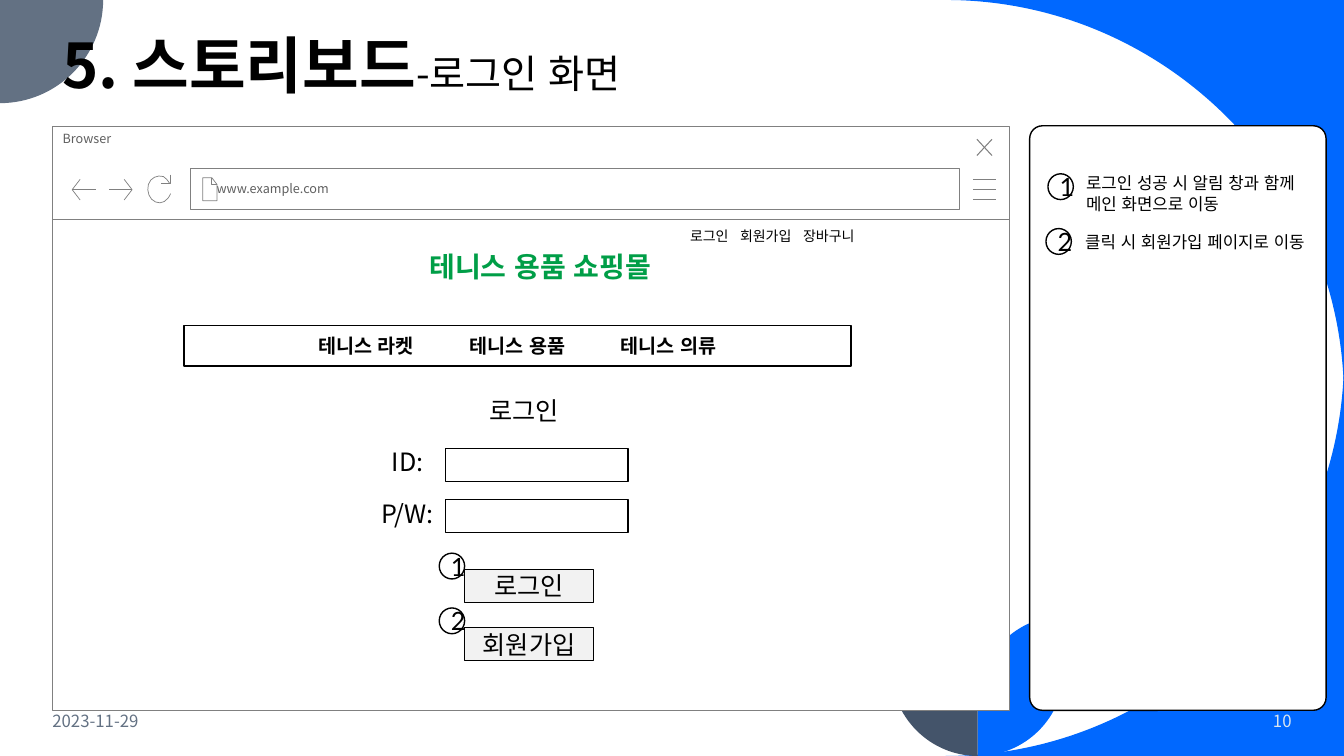
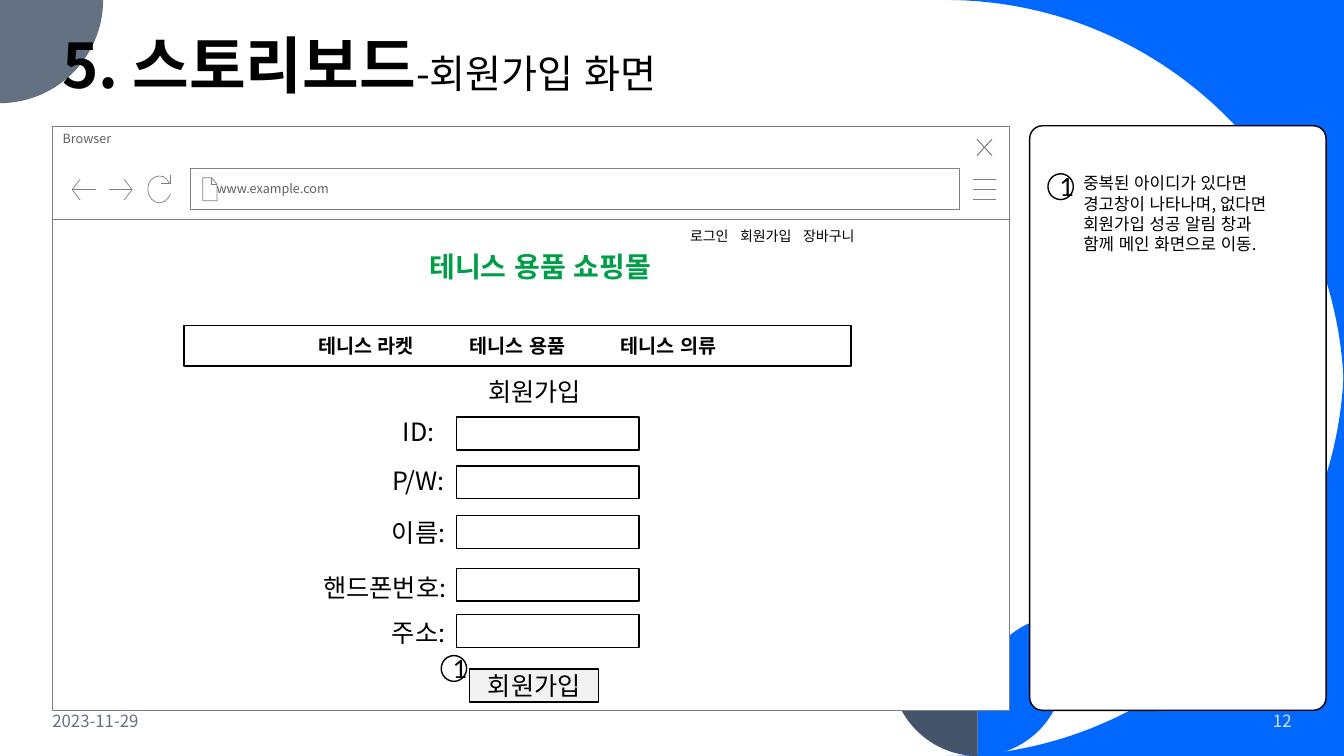
from lxml import etree
from pptx import Presentation
from pptx.dml.color import RGBColor
from pptx.enum.lang import MSO_LANGUAGE_ID
from pptx.enum.shapes import MSO_SHAPE
from pptx.enum.text import MSO_ANCHOR, PP_ALIGN
from pptx.oxml.ns import qn
from pptx.util import Cm, Pt

RECT = MSO_SHAPE.RECTANGLE
ROUND = MSO_SHAPE.ROUNDED_RECTANGLE
OVAL = MSO_SHAPE.OVAL
LEFT, CENTER, RIGHT = PP_ALIGN.LEFT, PP_ALIGN.CENTER, PP_ALIGN.RIGHT
TOP, MIDDLE = MSO_ANCHOR.TOP, MSO_ANCHOR.MIDDLE
KOREAN = MSO_LANGUAGE_ID.KOREAN

W, H = 33.87, 19.05
FONT, BADGE_FONT = "Noto Sans CJK KR", "Lato"
COLORS = {
    "white": "FFFFFF",
    "black": "000000",
    "blue": "0068FF",
    "slate": "637183",
    "navy": "44546A",
    "pale": "DAE5EF",
    "outline": "808080",
    "chrome": "5F5F5F",
    "green": "009E47",
    "button": "F2F2F2",
}
BROWSER = (1.33, 3.18, 24.1, 14.73)
PANEL = (25.95, 3.17, 7.47, 14.73)
FIELD_W, FIELD_H = 4.6, 0.83

SLIDES = [
    {
        "page": "10",
        "title": "-로그인 화면",
        "heading": ("로그인", 9.58, 6.65),
        "field_x": 9.9,
        "rows": [("ID:", 0, 7.95, 8.12), ("P/W:", 0, 9.26, 9.41)],
        "buttons": [("로그인", 10.38, 11.17), ("회원가입", 10.38, 12.64)],
        "badges": [("1", 9.74, 10.76), ("2", 9.74, 12.14)],
        "notes": [
            ("1", 0.46, 1.21, "로그인 성공 시 알림 창과 함께 메인 화면으로 이동", 1.17, 1.07, 6.15),
            ("2", 0.41, 2.59, "클릭 시 회원가입 페이지로 이동", 1.15, 2.54, 6.2),
        ],
    },
    {
        "page": "12",
        "title": "-회원가입 화면",
        "heading": ("회원가입", 9.84, 6.18),
        "field_x": 10.18,
        "rows": [
            ("ID:", 0, 7.19, 7.33),
            ("P/W:", 0, 8.41, 8.56),
            ("이름:", 0, 9.74, 9.81),
            ("핸드폰번호:", -0.85, 11.12, 11.14),
            ("주소:", 0, 12.24, 12.31),
        ],
        "buttons": [("회원가입", 10.51, 13.68)],
        "badges": [("1", 9.79, 13.34)],
        "notes": [
            ("1", 0.46, 1.21,
             "중복된 아이디가 있다면 경고창이 나타나며, 없다면 회원가입 성공 알림 창과 함께 메인 화면으로 이동.",
             1.1, 1.07, 5.5),
        ],
    },
]


def rgb(name):
    return RGBColor.from_string(COLORS[name])


def paint(sp, fill=None, line=None, width=1):
    sp.shadow.inherit = False
    if fill:
        sp.fill.solid()
        sp.fill.fore_color.rgb = rgb(fill)
    else:
        sp.fill.background()
    if line:
        sp.line.color.rgb = rgb(line)
        sp.line.width = Pt(width)
    else:
        sp.line.fill.background()


def add_run(p, text, size, color="black", bold=False, font=FONT):
    r = p.add_run()
    r.text = text
    r.font.size = Pt(size)
    r.font.bold = bold
    r.font.language_id = KOREAN
    r.font.color.rgb = rgb(color)
    r.font.name = font
    ea = etree.SubElement(r._r.get_or_add_rPr(), qn("a:ea"))
    ea.set("typeface", font)


def write(sp, runs, align=LEFT, anchor=TOP, left=0.25, tabs=()):
    tf = sp.text_frame
    tf.word_wrap = True
    tf.vertical_anchor = anchor
    tf.margin_left = Cm(left)
    p = tf.paragraphs[0]
    p.alignment = align
    if tabs:
        stops = etree.SubElement(p._p.get_or_add_pPr(), qn("a:tabLst"))
        for pos in tabs:
            etree.SubElement(stops, qn("a:tab"), pos=str(Cm(pos)), algn="l")
    for run in runs:
        add_run(p, *run)
    return p


def add_text(s, x, y, w, h, runs, **style):
    return write(s.shapes.add_textbox(Cm(x), Cm(y), Cm(w), Cm(h)), runs, **style)


def add_box(s, x, y, w, h, fill="white", line="black", width=1, kind=RECT):
    sp = s.shapes.add_shape(kind, Cm(x), Cm(y), Cm(w), Cm(h))
    paint(sp, fill, line, width)
    return sp


def add_outline(s, contours, x=0, y=0, close=False, **style):
    steps = [[(n,) if isinstance(n[0], (int, float)) else n for n in c] for c in contours]
    builder = None
    for contour in steps:
        points = [(Cm(x + px), Cm(y + py)) for step in contour for px, py in step]
        if builder:
            builder.move_to(*points[0])
        else:
            builder = s.shapes.build_freeform(*points[0])
        builder.add_line_segments(points[1:], close=close)
    sp = builder.convert_to_shape()
    lines = iter(list(sp.element.iter(qn("a:lnTo"))))
    for step in (step for contour in steps for step in contour[1:]):
        segment = next(lines)
        if len(step) == 3:
            segment.tag = qn("a:cubicBezTo")
            for extra in (next(lines), next(lines)):
                segment.append(extra[0])
                extra.getparent().remove(extra)
    paint(sp, **style)


def quarter(start, corner, end):
    def toward(point):
        return tuple(a + 0.55 * (b - a) for a, b in zip(point, corner))

    return [start, (toward(start), toward(end), end)]


def add_badge(s, x, y, number):
    sp = add_box(s, x, y, 0.64, 0.65, kind=OVAL)
    write(sp, [(number, 18, "black", False, BADGE_FONT)], align=CENTER, anchor=MIDDLE)


def add_backdrop(s):
    big, small = 10.04, 2.6
    shapes = [
        (quarter((W - big, 0), (W, 0), (W, big)) + [(W, 0)], "blue"),
        (quarter((W, H - big), (W, H), (W - big, H)) + [(W, H)], "blue"),
        (quarter((small, 0), (small, small), (0, small)) + [(0, 0)], "slate"),
    ]
    stem, radius, top = 24.64, 2.18, 15.52
    for side, color in ((1, "blue"), (-1, "navy")):
        edge = stem + side * radius
        leaf = quarter((stem, top + radius), (stem, top), (edge, top))
        leaf += quarter((edge, H - radius), (edge, H), (stem, H))
        shapes.append((leaf, color))
    for contour, color in shapes:
        add_outline(s, [contour], close=True, fill=color)


def add_footer(s, x, y, page):
    add_text(s, x, y, 7.62, 1.02, [("2023-11-29", 12, "slate")], anchor=MIDDLE)
    add_text(s, x + 27.13, y, 4.6, 1.02, [(page, 12, "pale")], align=RIGHT, anchor=MIDDLE)


def add_title(s, x, y, title):
    runs = [("5. 스토리보드", 44, "black", True), (title, 28)]
    add_text(s, x, y, 26, 2.67, runs).line_spacing = 0.9


def add_browser(s, x, y, w, h):
    bar, mid = 2.34, 1.6
    add_box(s, x, y + bar, w, h - bar, line="outline", width=0.5)
    header = add_box(s, x, y, w, bar, line="outline", width=0.5)
    write(header, [("Browser", 9, "chrome")])
    address = add_box(s, x + 3.47, y + 1.06, 19.37, 1.04, line="outline", width=0.5)
    write(address, [("www.example.com", 9, "chrome")], anchor=MIDDLE, left=0.66)

    def arrow(tip, tail):
        neck = tip + (0.2 if tail > tip else -0.2)
        return [[(neck, mid - 0.26), (tip, mid), (neck, mid + 0.26)], [(tip, mid), (tail, mid)]]

    menu = [[(w - 0.91, mid + d), (w - 0.33, mid + d)] for d in (-0.25, 0, 0.25)]
    close = [[(23.29, 0.33), (23.67, 0.74)], [(23.67, 0.33), (23.29, 0.74)]]
    document = [
        [(3.99, 1.3), (3.99, 1.47), (4.14, 1.47)],
        [(3.78, 1.3), (3.78, 1.88), (4.14, 1.88), (4.14, 1.47), (4.01, 1.3), (3.78, 1.3)],
    ]
    reload = [
        [(2.97, 1.22), (2.97, 1.45), (2.74, 1.45)],
        [
            (2.97, 1.7),
            ((2.9, 1.88), (2.74, 1.98), (2.59, 1.91)),
            ((2.44, 1.85), (2.36, 1.65), (2.41, 1.47)),
            ((2.46, 1.3), (2.64, 1.22), (2.79, 1.27)),
            ((2.85, 1.3), (2.9, 1.37), (2.95, 1.45)),
        ],
    ]
    icons = [
        (menu, 0.5), (close, 0.75), (document, 0.5),
        (arrow(0.49, 1.09), 0.5), (arrow(2.0, 1.42), 0.5), (reload, 0.5),
    ]
    for contours, width in icons:
        add_outline(s, contours, x, y, line="outline", width=width)


def add_shop_header(s, x, y):
    add_text(s, x + 9.24, y + 2.97, 6.15, 1.12, [("테니스 용품 쇼핑몰", 20, "green", True)])
    add_text(s, x + 15.81, y + 2.42, 4.85, 0.69,
             [("로그인\t회원가입\t장바구니", 10)], tabs=(1.26, 2.85))
    nav = add_box(s, x + 3.31, y + 5.02, 16.81, 1.02)
    write(nav, [("테니스 라켓\t테니스 용품\t테니스 의류", 14, "black", True)],
          anchor=MIDDLE, left=3.38, tabs=(3.81, 7.62))


def add_form(s, x, y, data):
    text, hx, hy = data["heading"]
    add_text(s, x + hx, y + hy, 4.6, 1.02, [(text, 18)], align=CENTER)
    fx = x + data["field_x"]
    for label, shift, label_y, field_y in data["rows"]:
        add_text(s, fx - 3.26 + shift, y + label_y, 4.6, 1.02, [(label, 18)], align=CENTER)
        add_box(s, fx, y + field_y, FIELD_W, FIELD_H)
    for label, bx, by in data["buttons"]:
        button = add_box(s, x + bx, y + by, 3.25, FIELD_H, fill="button")
        write(button, [(label, 18)], align=CENTER, anchor=MIDDLE)
    for number, bx, by in data["badges"]:
        add_badge(s, x + bx, y + by, number)


def add_notes(s, x, y, w, h, notes):
    add_box(s, x, y, w, h, kind=ROUND).adjustments[0] = 0.043
    for number, bx, by, text, tx, ty, tw in notes:
        add_badge(s, x + bx, y + by, number)
        add_text(s, x + tx, y + ty, tw, 0.76, [(text, 12)])


def add_storyboard(prs, data):
    s = prs.slides.add_slide(prs.slide_layouts[6])
    add_backdrop(s)
    add_notes(s, *PANEL, data["notes"])
    add_footer(s, 1.07, 17.65, data["page"])
    add_browser(s, *BROWSER)
    add_title(s, 1.32, 0.76, data["title"])
    add_shop_header(s, *BROWSER[:2])
    add_form(s, *BROWSER[:2], data)


def main():
    prs = Presentation()
    prs.slide_width, prs.slide_height = Cm(W), Cm(H)
    for data in SLIDES:
        add_storyboard(prs, data)
    prs.save("out.pptx")


if __name__ == "__main__":
    main()
